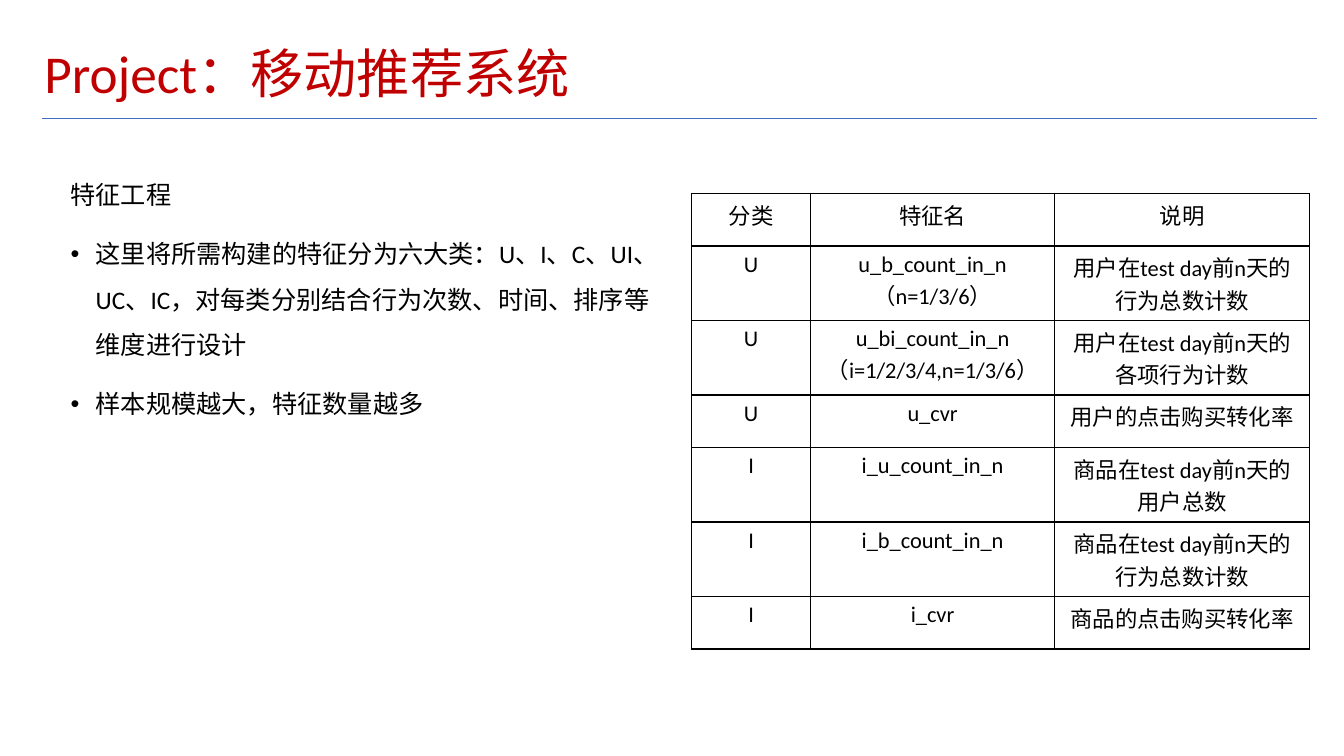
"""Build the feature engineering slide of the mobile recommendation project."""
from lxml import etree
from pptx import Presentation
from pptx.dml.color import RGBColor
from pptx.enum.shapes import MSO_CONNECTOR
from pptx.enum.text import MSO_ANCHOR, PP_ALIGN
from pptx.oxml.ns import qn
from pptx.util import Inches, Pt

STRAIGHT = MSO_CONNECTOR.STRAIGHT
MIDDLE = MSO_ANCHOR.MIDDLE
CENTER = PP_ALIGN.CENTER
RED = RGBColor(0xC0, 0x00, 0x00)
BLUE = RGBColor(0x3F, 0x6F, 0xC3)
BLACK = RGBColor(0x00, 0x00, 0x00)
FONT = "Calibri"

FEATURES = [
    ("分类", "特征名", "说明"),
    ("U", "u_b_count_in_n（n=1/3/6）", "用户在test day前n天的行为总数计数"),
    ("U", "u_bi_count_in_n（i=1/2/3/4,n=1/3/6）", "用户在test day前n天的各项行为计数"),
    ("U", "u_cvr", "用户的点击购买转化率"),
    ("I", "i_u_count_in_n", "商品在test day前n天的用户总数"),
    ("I", "i_b_count_in_n", "商品在test day前n天的行为总数计数"),
    ("I", "i_cvr", "商品的点击购买转化率"),
]
COLUMN_WIDTHS = (1.18, 2.42, 2.53)
ONE_LINE, TWO_LINES = 0.52, 0.74
ROW_HEIGHTS = (ONE_LINE,) + (TWO_LINES, TWO_LINES, ONE_LINE) * 2
POINTS = [
    "特征工程",
    "这里将所需构建的特征分为六大类：U、I、C、UI、UC、IC，对每类分别结合行为次数、时间、排序等维度进行设计",
    "样本规模越大，特征数量越多",
]


def add_run(paragraph, text, size, color):
    run = paragraph.add_run()
    run.text = text
    run.font.name = FONT
    run.font.size = Pt(size)
    run.font.color.rgb = color


def add_frame(left, top, width, height):
    frame = slide.shapes.add_textbox(
        Inches(left), Inches(top), Inches(width), Inches(height)).text_frame
    frame.word_wrap = True
    frame.margin_left = frame.margin_right = Inches(0.05)
    frame.margin_top = frame.margin_bottom = Inches(0.05)
    return frame


prs = Presentation()
prs.slide_width = Inches(13.33)
prs.slide_height = Inches(7.5)
slide = prs.slides.add_slide(prs.slide_layouts[6])

title_rule = slide.shapes.add_connector(
    STRAIGHT, Inches(0.42), Inches(1.18), Inches(13.06), Inches(1.18))
title_rule.line.color.rgb = BLUE
title_rule.line.width = Pt(0.75)
etree.SubElement(title_rule._element.spPr, qn("a:effectLst"))

title = add_frame(0.39, 0.4, 11.13, 0.71)
title.vertical_anchor = MIDDLE
title.paragraphs[0].line_spacing = 0.9
add_run(title.paragraphs[0], "Project：移动推荐系统", 38, RED)

body = add_frame(0.65, 1.58, 6.03, 4.6)
for index, point in enumerate(POINTS):
    paragraph = body.add_paragraph() if index else body.paragraphs[0]
    paragraph.line_spacing = 1.5
    if index:
        paragraph.space_before = Pt(10)
        properties = paragraph._p.get_or_add_pPr()
        properties.set("marL", str(Inches(0.25)))
        properties.set("indent", str(Inches(-0.25)))
        etree.SubElement(properties, qn("a:buFont"), typeface="Arial")
        etree.SubElement(properties, qn("a:buChar"), char="•")
    add_run(paragraph, point, 18, BLACK)

feature_table = slide.shapes.add_table(
    len(FEATURES), len(COLUMN_WIDTHS), Inches(6.86), Inches(1.92),
    Inches(sum(COLUMN_WIDTHS)), Inches(sum(ROW_HEIGHTS))).table
feature_table.first_row = False
feature_table.horz_banding = False
for column, width in zip(feature_table.columns, COLUMN_WIDTHS):
    column.width = Inches(width)
for row, height, feature in zip(feature_table.rows, ROW_HEIGHTS, FEATURES):
    row.height = Inches(height)
    for cell, text in zip(row.cells, feature):
        cell_properties = cell._tc.get_or_add_tcPr()
        for side in ("a:lnL", "a:lnR", "a:lnT", "a:lnB"):
            border = etree.SubElement(cell_properties, qn(side), w=str(Pt(1)))
            border_fill = etree.SubElement(border, qn("a:solidFill"))
            etree.SubElement(border_fill, qn("a:srgbClr"), val=str(BLACK))
        cell.fill.background()
        paragraph = cell.text_frame.paragraphs[0]
        paragraph.alignment = CENTER
        add_run(paragraph, text, 16, BLACK)

prs.save("out.pptx")
